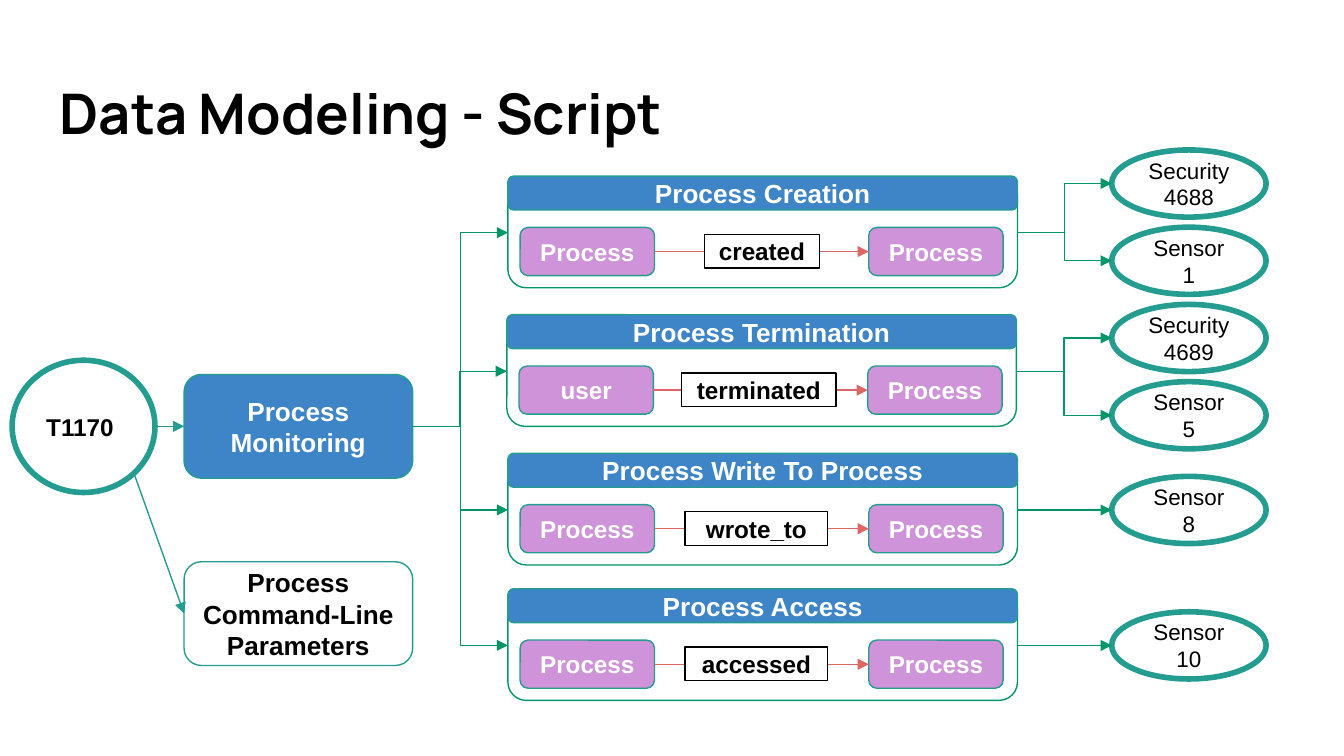
import pptx
import pptx.dml.color
import pptx.enum.shapes
import pptx.enum.text
import pptx.oxml
import pptx.oxml.ns
import pptx.util

Cm = pptx.util.Cm
RGBColor = pptx.dml.color.RGBColor
Shapes = pptx.enum.shapes.MSO_SHAPE
Connectors = pptx.enum.shapes.MSO_CONNECTOR
Anchor = pptx.enum.text.MSO_ANCHOR
Align = pptx.enum.text.PP_ALIGN

BLACK = RGBColor(0x00, 0x00, 0x00)
WHITE = RGBColor(0xFF, 0xFF, 0xFF)
TEAL = RGBColor(0x24, 0x9C, 0x90)
GREEN = RGBColor(0x00, 0x96, 0x68)
BLUE = RGBColor(0x3D, 0x85, 0xC6)
PURPLE = RGBColor(0xCE, 0x93, 0xD8)
RED = RGBColor(0xE0, 0x66, 0x66)

CARD_WIDTH = 9.63
HEADER_HEIGHT = 0.64
SOURCE_LEFT, SOURCE_WIDTH, SOURCE_HEIGHT = 21.01, 2.92, 1.27
TOP, LEFT, BOTTOM, RIGHT = range(4)

CARDS = [
    (9.6, 3.33, "Process Creation", "Process", "created", 13.31, 2.18,
     [("Security 4688", 3.47), ("Sensor 1", 4.93)]),
    (9.58, 5.95, "Process Termination", "user", "terminated", 12.88, 2.92,
     [("Security 4689", 6.39), ("Sensor 5", 7.85)]),
    (9.6, 8.57, "Process Write To Process", "Process", "wrote_to", 12.95, 2.69,
     [("Sensor 8", 9.64)]),
    (9.6, 11.13, "Process Access", "Process", "accessed", 12.95, 2.69,
     [("Sensor 10", 12.2)]),
]


def write_text(shape, text, size=13, font="Arial", color=BLACK, bold=True,
               align=Align.CENTER, anchor=Anchor.MIDDLE):
    frame = shape.text_frame
    frame.word_wrap = True
    frame.vertical_anchor = anchor
    frame.margin_left = frame.margin_right = Cm(0.25)
    frame.margin_top = frame.margin_bottom = Cm(0.25)
    paragraph = frame.paragraphs[0]
    paragraph.alignment = align
    run = paragraph.add_run()
    run.text = text
    run.font.name = font
    run.font.size = pptx.util.Pt(size)
    run.font.bold = bold
    run.font.color.rgb = color


def add_box(slide, kind, left, top, width, height, fill=None, line=TEAL,
            weight=0.75):
    shape = slide.shapes.add_shape(kind, Cm(left), Cm(top), Cm(width), Cm(height))
    shape.shadow.inherit = False
    if fill is None:
        shape.fill.background()
    else:
        shape.fill.solid()
        shape.fill.fore_color.rgb = fill
    shape.line.color.rgb = line
    shape.line.width = pptx.util.Pt(weight)
    return shape


def add_arrow(slide, color, start, end, kind=Connectors.STRAIGHT,
              start_shape=None, end_shape=None):
    connector = slide.shapes.add_connector(
        kind, Cm(start[0]), Cm(start[1]), Cm(end[0]), Cm(end[1]))
    if start_shape is not None:
        connector.begin_connect(start_shape, RIGHT)
    if end_shape is not None:
        connector.end_connect(end_shape, LEFT)
    connector.line.color.rgb = color
    connector.line.width = pptx.util.Pt(0.75)
    properties = connector._element.spPr
    outline = properties.find(pptx.oxml.ns.qn("a:ln"))
    namespace = pptx.oxml.ns.nsdecls("a")
    outline.append(pptx.oxml.parse_xml(f'<a:tailEnd {namespace} type="triangle"/>'))
    properties.append(pptx.oxml.parse_xml(f"<a:effectLst {namespace}/>"))


def add_title(slide, text):
    title = slide.shapes.add_textbox(Cm(0.88), Cm(1.24), Cm(23.67), Cm(1.73))
    write_text(title, text, size=30, font="Manrope", align=Align.LEFT,
               anchor=Anchor.TOP)


def add_component(slide, top, text, fill, color):
    component = add_box(slide, Shapes.ROUNDED_RECTANGLE, 3.48, top, 4.32, 1.96, fill)
    write_text(component, text, size=14, color=color)
    return component


def add_node(slide, left, top, text):
    node = add_box(slide, Shapes.ROUNDED_RECTANGLE, left, top, 2.54, 0.91, PURPLE)
    write_text(node, text, color=WHITE)
    return node


def add_source(slide, text, center):
    source = add_box(slide, Shapes.OVAL, SOURCE_LEFT, center - SOURCE_HEIGHT / 2,
                     SOURCE_WIDTH, SOURCE_HEIGHT, weight=3)
    write_text(source, text, size=12, bold=False)


def add_card(slide, monitoring, left, top, title, subject, verb, verb_left,
             verb_width, sources):
    body = add_box(slide, Shapes.ROUNDED_RECTANGLE, left, top + 0.03, CARD_WIDTH, 2.08,
                   line=GREEN)
    header = add_box(slide, Shapes.ROUNDED_RECTANGLE, left, top, CARD_WIDTH,
                     HEADER_HEIGHT, BLUE)
    write_text(header, title, size=14, color=WHITE)

    subject_node = add_node(slide, left + 0.23, top + 0.97, subject)
    object_node = add_node(slide, left + 6.82, top + 0.97, "Process")
    add_arrow(slide, RED, (0, 0), (0, 0), start_shape=subject_node,
              end_shape=object_node)
    label = add_box(slide, Shapes.RECTANGLE, verb_left, top + 1.1, verb_width, 0.64,
                    WHITE, BLACK)
    write_text(label, verb)

    add_arrow(slide, GREEN, (0, 0), (0, 0), Connectors.ELBOW, monitoring, body)
    kind = Connectors.ELBOW if len(sources) > 1 else Connectors.STRAIGHT
    for text, center in sources:
        add_source(slide, text, center)
        add_arrow(slide, GREEN, (left + CARD_WIDTH, top + 1.07),
                  (SOURCE_LEFT, center), kind, start_shape=body)


def main():
    presentation = pptx.Presentation()
    presentation.slide_width = Cm(25.4)
    presentation.slide_height = Cm(14.29)
    slide = presentation.slides.add_slide(presentation.slide_layouts[6])

    add_title(slide, "Data Modeling - Script")
    technique = add_box(slide, Shapes.OVAL, 0.23, 6.81, 2.7, 2.5, weight=3)
    write_text(technique, "T1170", align=Align.LEFT)
    monitoring = add_component(slide, 7.08, "Process Monitoring", BLUE, WHITE)
    parameters = add_component(slide, 10.62, "Process Command-Line Parameters",
                               None, BLACK)
    add_arrow(slide, TEAL, (2.93, 8.06), (3.48, 8.06), end_shape=monitoring)
    add_arrow(slide, TEAL, (2.53, 8.94), (3.48, 11.6), end_shape=parameters)

    for card in CARDS:
        add_card(slide, monitoring, *card)

    presentation.save("out.pptx")


if __name__ == "__main__":
    main()
